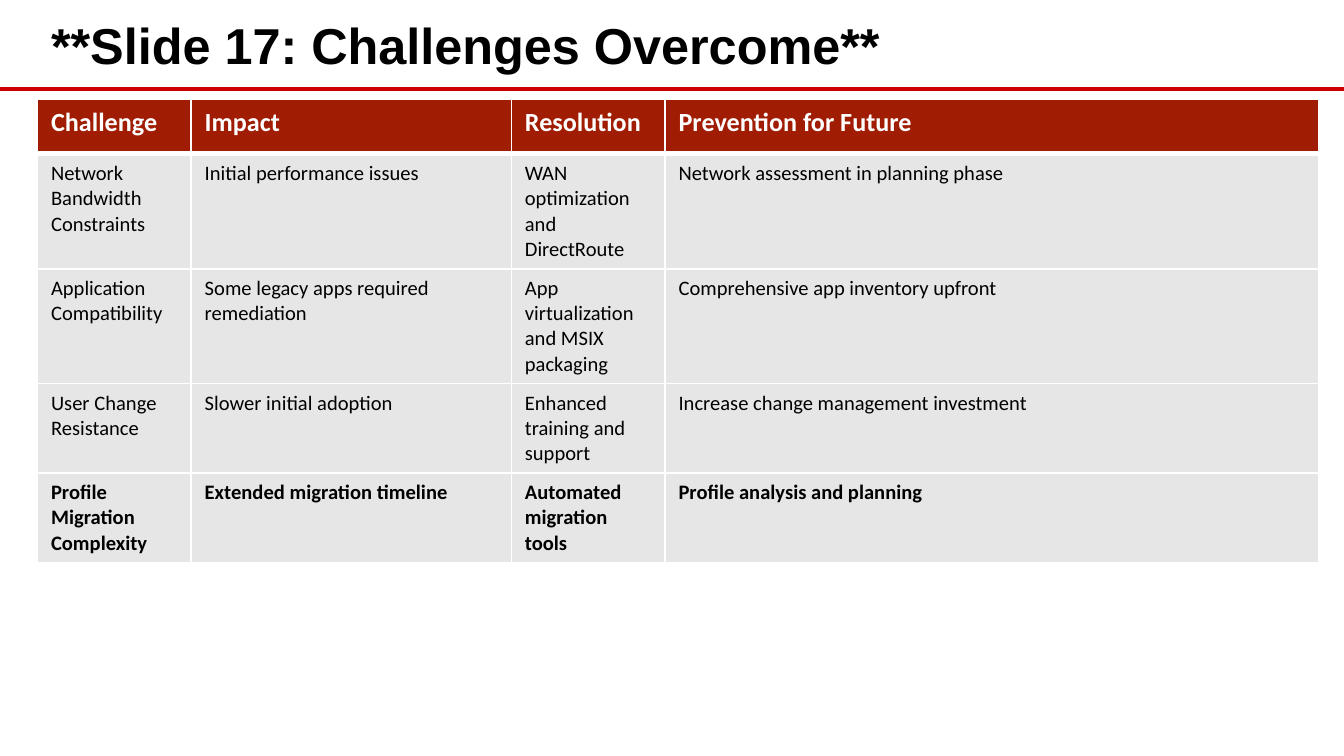
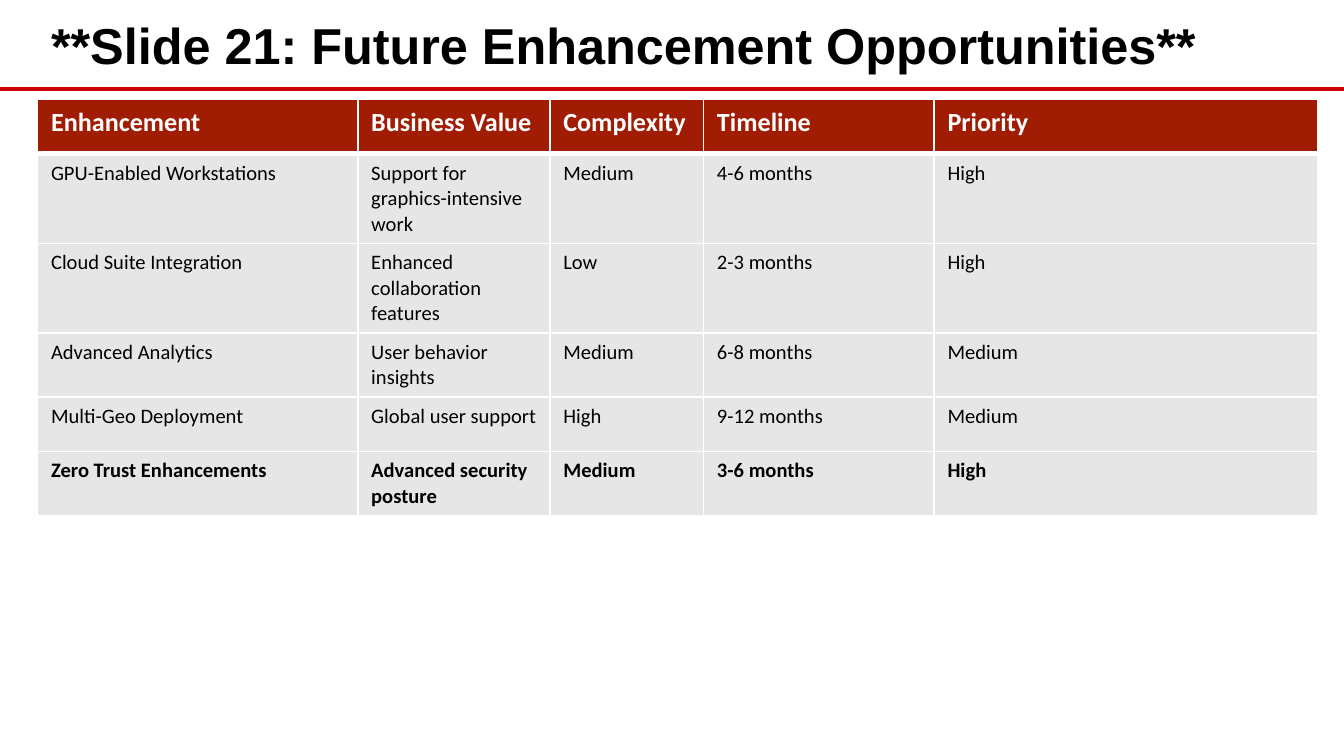
import pptx
import pptx.dml.color
import pptx.enum.shapes
import pptx.enum.text
import pptx.oxml.ns
import pptx.util
from lxml import etree
from pptx.util import Inches

BLACK, WHITE = "000000", "FFFFFF"
RULE_RED, HEADER_RED, CELL_GREY = "CC0000", "A01C02", "E7E6E6"
TITLE_ONLY = 5

CHALLENGES = [
    ["Challenge", "Impact", "Resolution", "Prevention for Future"],
    ["Network Bandwidth Constraints", "Initial performance issues",
     "WAN optimization and DirectRoute", "Network assessment in planning phase"],
    ["Application Compatibility", "Some legacy apps required remediation",
     "App virtualization and MSIX packaging", "Comprehensive app inventory upfront"],
    ["User Change Resistance", "Slower initial adoption",
     "Enhanced training and support", "Increase change management investment"],
    ["Profile Migration Complexity", "Extended migration timeline",
     "Automated migration tools", "Profile analysis and planning"],
]

ENHANCEMENTS = [
    ["Enhancement", "Business Value", "Complexity", "Timeline", "Priority"],
    ["GPU-Enabled Workstations", "Support for graphics-intensive work",
     "Medium", "4-6 months", "High"],
    ["Cloud Suite Integration", "Enhanced collaboration features",
     "Low", "2-3 months", "High"],
    ["Advanced Analytics", "User behavior insights", "Medium", "6-8 months", "Medium"],
    ["Multi-Geo Deployment", "Global user support", "High", "9-12 months", "Medium"],
    ["Zero Trust Enhancements", "Advanced security posture",
     "Medium", "3-6 months", "High"],
]


def rgb(value):
    return pptx.dml.color.RGBColor.from_string(value)


def add_child(parent, tag, **attributes):
    return etree.SubElement(parent, pptx.oxml.ns.qn(tag), **attributes)


class Report:
    """Holds the shared style and the current page."""

    left, width = Inches(0.28), Inches(9.53)
    row_height = Inches(0.405)

    def __init__(self):
        self.deck = pptx.Presentation()
        self.deck.slide_width = Inches(10)
        self.deck.slide_height = Inches(5.625)
        self.page = None

    def add_page(self, title):
        self.page = self.deck.slides.add_slide(self.deck.slide_layouts[TITLE_ONLY])
        self.page.background.fill.solid()
        self.page.background.fill.fore_color.rgb = rgb(WHITE)
        self.add_rule()
        self.add_title(title)

    def add_rule(self):
        height = Inches(0.66)
        rule = self.page.shapes.add_connector(
            pptx.enum.shapes.MSO_CONNECTOR.STRAIGHT, 0, height,
            self.deck.slide_width, height)
        rule.line.color.rgb = rgb(RULE_RED)
        rule.line.width = pptx.util.Pt(2.25)
        add_child(rule._element.spPr, "a:effectLst")

    def add_title(self, text):
        box = self.page.shapes.title
        box.left, box.top = self.left, Inches(0.04)
        box.width, box.height = self.width, Inches(0.58)
        frame = box.text_frame
        frame.text = text
        frame.word_wrap = True
        frame.auto_size = pptx.enum.text.MSO_AUTO_SIZE.NONE
        frame.vertical_anchor = pptx.enum.text.MSO_ANCHOR.MIDDLE
        self.format_text(frame, 27, "Arial", BLACK, True)

    def add_table(self, rows, shares):
        """Adds a table whose column widths are percentages of its width."""
        table = self.page.shapes.add_table(
            len(rows), len(shares), self.left, Inches(0.74),
            self.width, self.row_height * len(rows)).table
        table.horz_banding = False
        for column, share in zip(table.columns, shares):
            column.width = int(self.width * share / 100)
        for row_index, texts in enumerate(rows):
            table.rows[row_index].height = self.row_height
            header = row_index == 0
            last = row_index == len(rows) - 1
            for column_index, text in enumerate(texts):
                cell = table.cell(row_index, column_index)
                cell.text_frame.text = text
                self.format_text(cell.text_frame, 14 if header else 11, "Calibri",
                                 WHITE if header else BLACK, header or last)
                self.add_borders(cell, top=3 if row_index == 1 else 1,
                                 bottom=3 if header else 1)
                cell.fill.solid()
                cell.fill.fore_color.rgb = rgb(HEADER_RED if header else CELL_GREY)

    def add_borders(self, cell, top, bottom):
        properties = cell._tc.get_or_add_tcPr()
        for side, points in (("L", 1), ("R", 1), ("T", top), ("B", bottom)):
            line = add_child(properties, f"a:ln{side}", w=str(pptx.util.Pt(points)))
            add_child(add_child(line, "a:solidFill"), "a:srgbClr", val=WHITE)

    def format_text(self, frame, size, font, color, bold):
        for para in frame.paragraphs:
            para.alignment = pptx.enum.text.PP_ALIGN.LEFT
            for span in para.runs:
                span.font.size = pptx.util.Pt(size)
                span.font.name = font
                span.font.bold = bold
                span.font.color.rgb = rgb(color)


def main():
    report = Report()
    report.add_page("**Slide 17: Challenges Overcome**")
    report.add_table(CHALLENGES, [12, 25, 12, 51])
    report.add_page("**Slide 21: Future Enhancement Opportunities**")
    report.add_table(ENHANCEMENTS, [25, 15, 12, 18, 30])
    report.deck.save("out.pptx")


if __name__ == "__main__":
    main()
